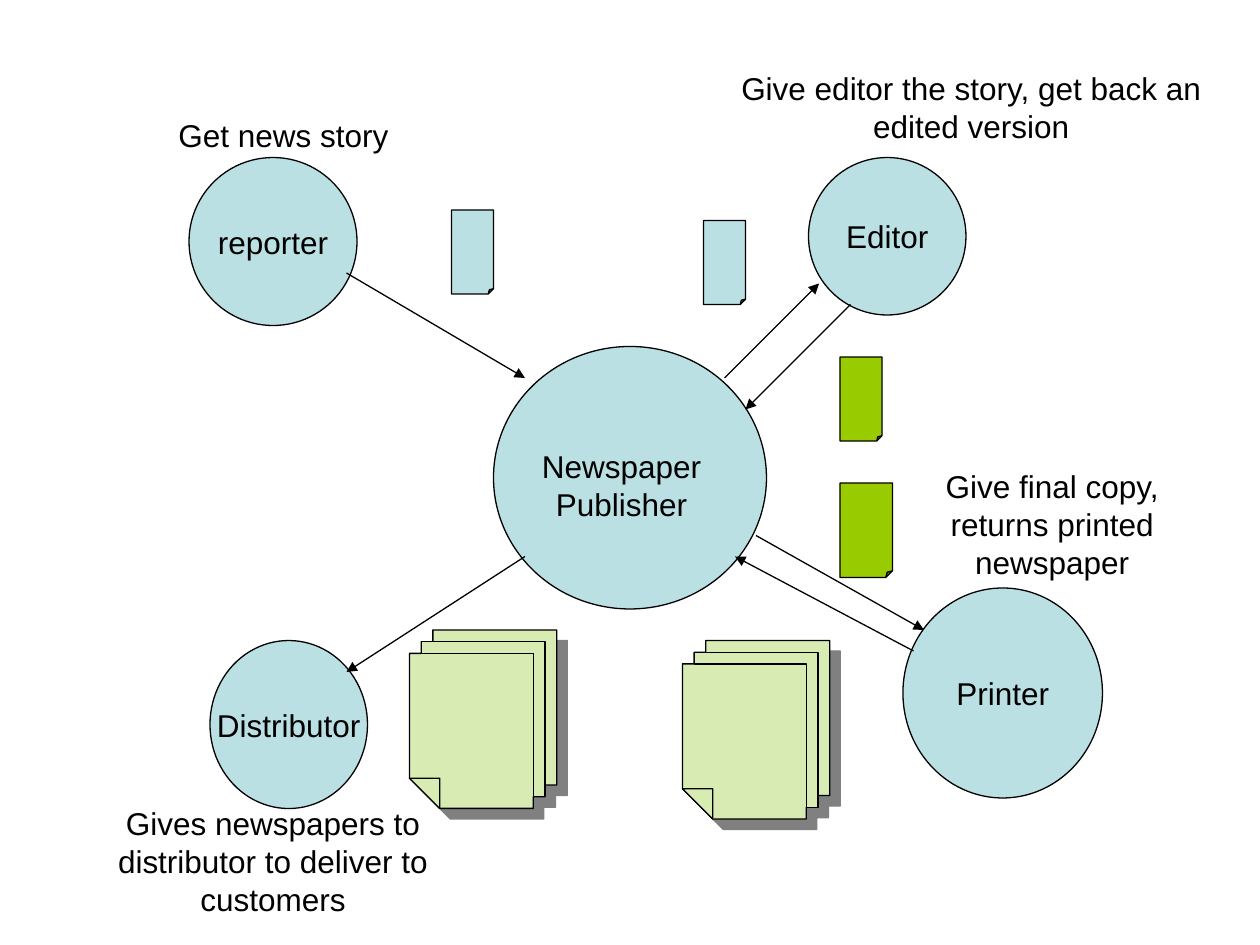
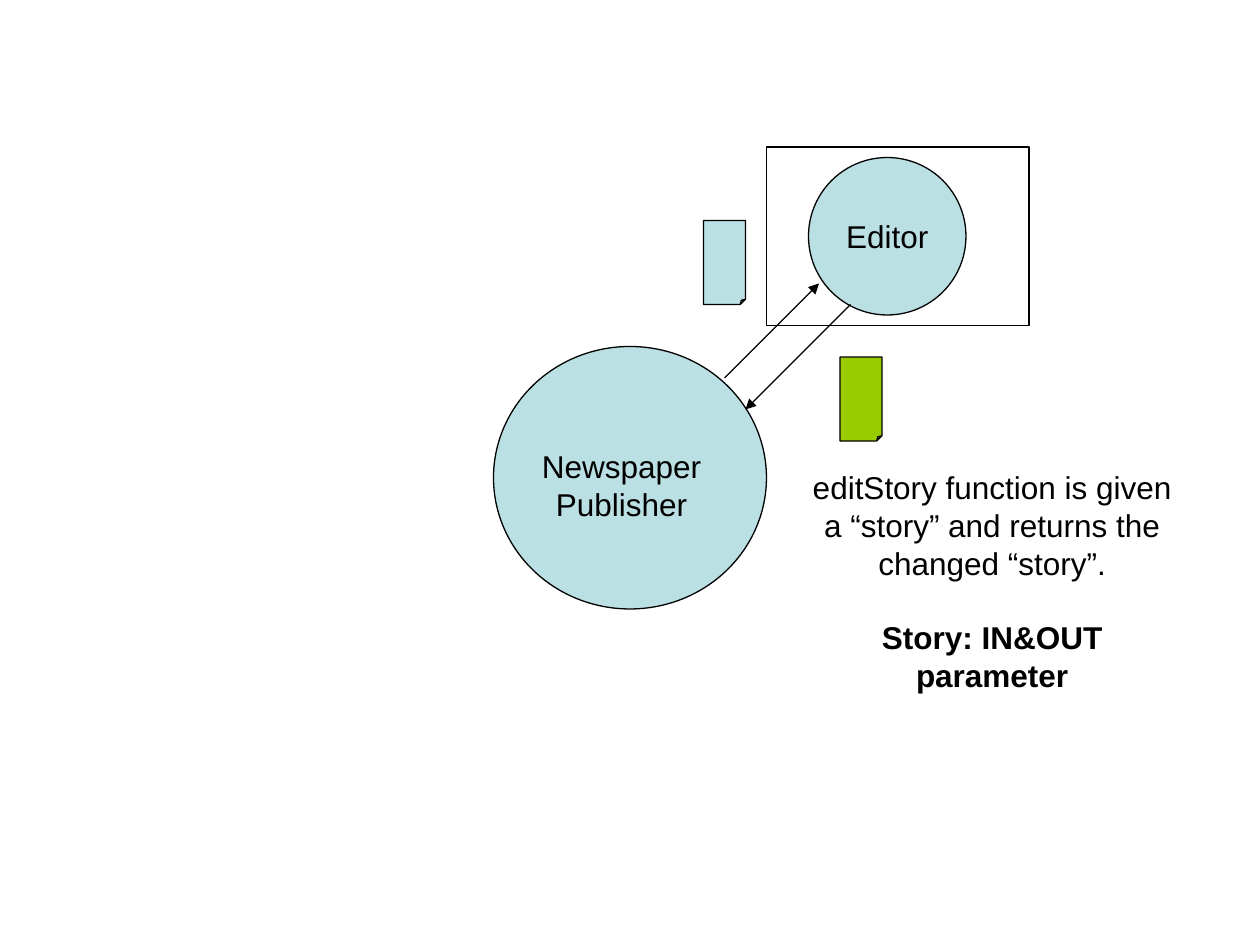
from dataclasses import dataclass

import pptx
import pptx.dml.color
import pptx.enum.shapes
import pptx.enum.text
import pptx.oxml.ns
import pptx.util
from lxml import etree
from pptx.shapes.autoshape import Shape
from pptx.slide import Slide

Pt = pptx.util.Pt
MSO_SHAPE = pptx.enum.shapes.MSO_SHAPE
qn = pptx.oxml.ns.qn

# Shared style
COLORS = {
    "role": "BBE0E3",
    "edited": "99CC00",
    "newspaper": "D8EBB3",
    "ink": "000000",
    "shadow": "808080",
}
FONT = "Arial"
FONT_SIZE = 18
LINE_WIDTH = 0.75
PARAGRAPH_GAP = 20.7

# Geometry of a pile of newspapers, in points
PILE_WIDTH, PILE_HEIGHT = 84.2, 102
SHEET_STEP = 6.7
FOLD = 17.3


@dataclass(frozen=True)
class Role:
    name: str
    left: float
    top: float
    width: float
    height: float


@dataclass(frozen=True)
class Page:
    left: float
    top: float
    color: str
    width: float = 24
    height: float = 48


@dataclass(frozen=True)
class Arrow:
    start: tuple[float, float]
    end: tuple[float, float]


@dataclass(frozen=True)
class Line:
    text: str
    bold: bool = False


@dataclass(frozen=True)
class Caption:
    lines: tuple[Line, ...]
    left: float
    top: float
    width: float
    height: float
    side_inset: float = 7.2


def rgb(color: str) -> pptx.dml.color.RGBColor:
    return pptx.dml.color.RGBColor.from_string(COLORS[color])


def style_shape(shape: Shape, fill: str | None) -> None:
    shape.shadow.inherit = False
    if fill is None:
        shape.fill.background()
    else:
        shape.fill.solid()
        shape.fill.fore_color.rgb = rgb(fill)
    shape.line.color.rgb = rgb("ink")
    shape.line.width = Pt(LINE_WIDTH)


def write_lines(shape: Shape, lines: tuple[Line, ...]) -> None:
    frame = shape.text_frame
    for index, line in enumerate(lines):
        paragraph = frame.add_paragraph() if index else frame.paragraphs[0]
        paragraph.alignment = pptx.enum.text.PP_ALIGN.CENTER
        if index:
            paragraph.space_before = Pt(PARAGRAPH_GAP)
        run = paragraph.add_run()
        run.text = line.text
        run.font.name = FONT
        run.font.size = Pt(FONT_SIZE)
        run.font.bold = line.bold
        run.font.color.rgb = rgb("ink")


def add_preset(slide: Slide, kind: MSO_SHAPE, left: float, top: float,
               width: float, height: float, fill: str | None) -> Shape:
    shape = slide.shapes.add_shape(kind, Pt(left), Pt(top), Pt(width), Pt(height))
    style_shape(shape, fill)
    return shape


def add_role(slide: Slide, role: Role) -> None:
    shape = add_preset(slide, MSO_SHAPE.OVAL, role.left, role.top,
                       role.width, role.height, "role")
    if role.name:
        shape.text_frame.word_wrap = False
        shape.text_frame.vertical_anchor = pptx.enum.text.MSO_ANCHOR.MIDDLE
        write_lines(shape, (Line(role.name),))


def add_page(slide: Slide, page: Page) -> None:
    shape = add_preset(slide, MSO_SHAPE.FOLDED_CORNER, page.left, page.top,
                       page.width, page.height, page.color)
    # python-pptx lists no adjustment for this preset
    geometry = shape._element.spPr.find(qn("a:prstGeom"))
    adjustments = geometry.find(qn("a:avLst"))
    if adjustments is None:
        adjustments = etree.SubElement(geometry, qn("a:avLst"))
    etree.SubElement(adjustments, qn("a:gd"), name="adj", fmla="val 12500")


def add_arrow(slide: Slide, arrow: Arrow) -> None:
    connector = slide.shapes.add_connector(
        pptx.enum.shapes.MSO_CONNECTOR.STRAIGHT,
        *(Pt(value) for value in arrow.start + arrow.end))
    connector.line.color.rgb = rgb("ink")
    connector.line.width = Pt(LINE_WIDTH)
    outline = connector._element.spPr.find(qn("a:ln"))
    etree.SubElement(outline, qn("a:tailEnd"), type="triangle")
    etree.SubElement(connector._element.spPr, qn("a:effectLst"))


def add_caption(slide: Slide, caption: Caption) -> None:
    box = slide.shapes.add_textbox(Pt(caption.left), Pt(caption.top),
                                   Pt(caption.width), Pt(caption.height))
    frame = box.text_frame
    frame.word_wrap = True
    frame.auto_size = pptx.enum.text.MSO_AUTO_SIZE.SHAPE_TO_FIT_TEXT
    frame.margin_left = frame.margin_right = Pt(caption.side_inset)
    write_lines(box, caption.lines)


def add_outline(slide: Slide, points: list[tuple[float, float]]) -> Shape:
    corners = [(Pt(x), Pt(y)) for x, y in points]
    builder = slide.shapes.build_freeform(*corners[0])
    builder.add_line_segments(corners[1:], close=True)
    shape = builder.convert_to_shape()
    style_shape(shape, "newspaper")
    return shape


def add_drop_shadow(shape: Shape) -> None:
    effects = shape._element.spPr.find(qn("a:effectLst"))
    shadow = etree.SubElement(effects, qn("a:outerShdw"), dist=str(int(Pt(8.5))),
                              dir=str(45 * 60000), algn="ctr", rotWithShape="0")
    etree.SubElement(shadow, qn("a:srgbClr"), val=COLORS["shadow"])


def add_newspaper_pile(slide: Slide, left: float, top: float) -> None:
    # Left and top edges of the front, middle and back sheets
    x0, x1, x2 = (left + SHEET_STEP * sheet for sheet in range(3))
    y2, y1, y0 = (top + SHEET_STEP * sheet for sheet in range(3))
    right2, bottom0 = left + PILE_WIDTH, top + PILE_HEIGHT
    right1, right0 = right2 - SHEET_STEP, right2 - 2 * SHEET_STEP
    bottom1, bottom2 = bottom0 - SHEET_STEP, bottom0 - 2 * SHEET_STEP
    fold_x, fold_y = left + FOLD, bottom0 - FOLD

    pile = add_outline(slide, [
        (x0, fold_y), (x0, y0), (x1, y0), (x1, y1), (x2, y1), (x2, y2),
        (right2, y2), (right2, bottom2), (right1, bottom2), (right1, bottom1),
        (right0, bottom1), (right0, bottom0), (fold_x, bottom0)])
    add_drop_shadow(pile)
    add_outline(slide, [
        (x1, y1), (right1, y1), (right1, bottom1), (right0, bottom1),
        (right0, y0), (x1, y0)])
    add_outline(slide, [(x0, fold_y), (fold_x, fold_y), (fold_x, bottom0)])


# Editing exchange, on both slides
PUBLISHER = Role("", 282, 198, 156, 150)
PUBLISHER_LABEL = Caption((Line("Newspaper Publisher"),), 276, 252, 158.4, 50.4)
EDITOR = Role("Editor", 462, 90, 90, 90)
EDITOR_ARROWS = (Arrow((414, 216), (468, 162)), Arrow((486, 174), (426, 234)))
EDITOR_PAGES = (Page(402, 126, "role"), Page(480, 204, "edited"))

# Workflow around the publisher
OTHER_ROLES = (
    Role("reporter", 108, 90, 96, 96),
    Role("Printer", 516, 336, 114, 120),
    Role("Distributor", 120, 366, 90, 96),
)
OTHER_PAGES = (Page(258, 120, "role"), Page(480, 276, "edited", 30, 54))
OTHER_ARROWS = (
    Arrow((198, 156), (300, 216)),
    Arrow((432, 306), (528, 360)),
    Arrow((522, 372), (420, 318)),
    Arrow((300, 318), (198, 384)),
)
NEWSPAPER_PILES = ((390, 366), (234, 360))
WORKFLOW_CAPTIONS = (
    Caption((Line("Get news story"),), 90, 62.6, 144, 28.8),
    Caption((Line("Give editor the story, get back an edited version"),),
            414, 36, 282, 50.4),
    Caption((Line("Give final copy, returns printed newspaper"),),
            530, 263.5, 142.5, 72),
    Caption((Line("Gives newspapers to distributor to deliver to customers"),),
            48, 456, 216, 72),
)

# Parameter explanation
EDITOR_FRAME = (438, 84, 150, 102)
PARAMETER_CAPTION = Caption(
    (Line("editStory function is given a “story” and returns the changed “story”."),
     Line("Story: IN&OUT parameter", bold=True)),
    462, 264, 210, 136.8, side_inset=0)


def add_editing_exchange(slide: Slide) -> None:
    for role in (PUBLISHER, EDITOR):
        add_role(slide, role)
    for arrow in EDITOR_ARROWS:
        add_arrow(slide, arrow)
    for page in EDITOR_PAGES:
        add_page(slide, page)
    add_caption(slide, PUBLISHER_LABEL)


def build_workflow(slide: Slide) -> None:
    for role in OTHER_ROLES:
        add_role(slide, role)
    for page in OTHER_PAGES:
        add_page(slide, page)
    for left, top in NEWSPAPER_PILES:
        add_newspaper_pile(slide, left, top)
    add_editing_exchange(slide)
    for arrow in OTHER_ARROWS:
        add_arrow(slide, arrow)
    for caption in WORKFLOW_CAPTIONS:
        add_caption(slide, caption)


def build_parameter(slide: Slide) -> None:
    add_editing_exchange(slide)
    add_preset(slide, MSO_SHAPE.RECTANGLE, *EDITOR_FRAME, fill=None)
    add_caption(slide, PARAMETER_CAPTION)


def main() -> None:
    presentation = pptx.Presentation()
    presentation.slide_width, presentation.slide_height = Pt(720), Pt(540)
    blank_layout = presentation.slide_layouts[6]
    for build in (build_workflow, build_parameter):
        build(presentation.slides.add_slide(blank_layout))
    presentation.save("out.pptx")


if __name__ == "__main__":
    main()
